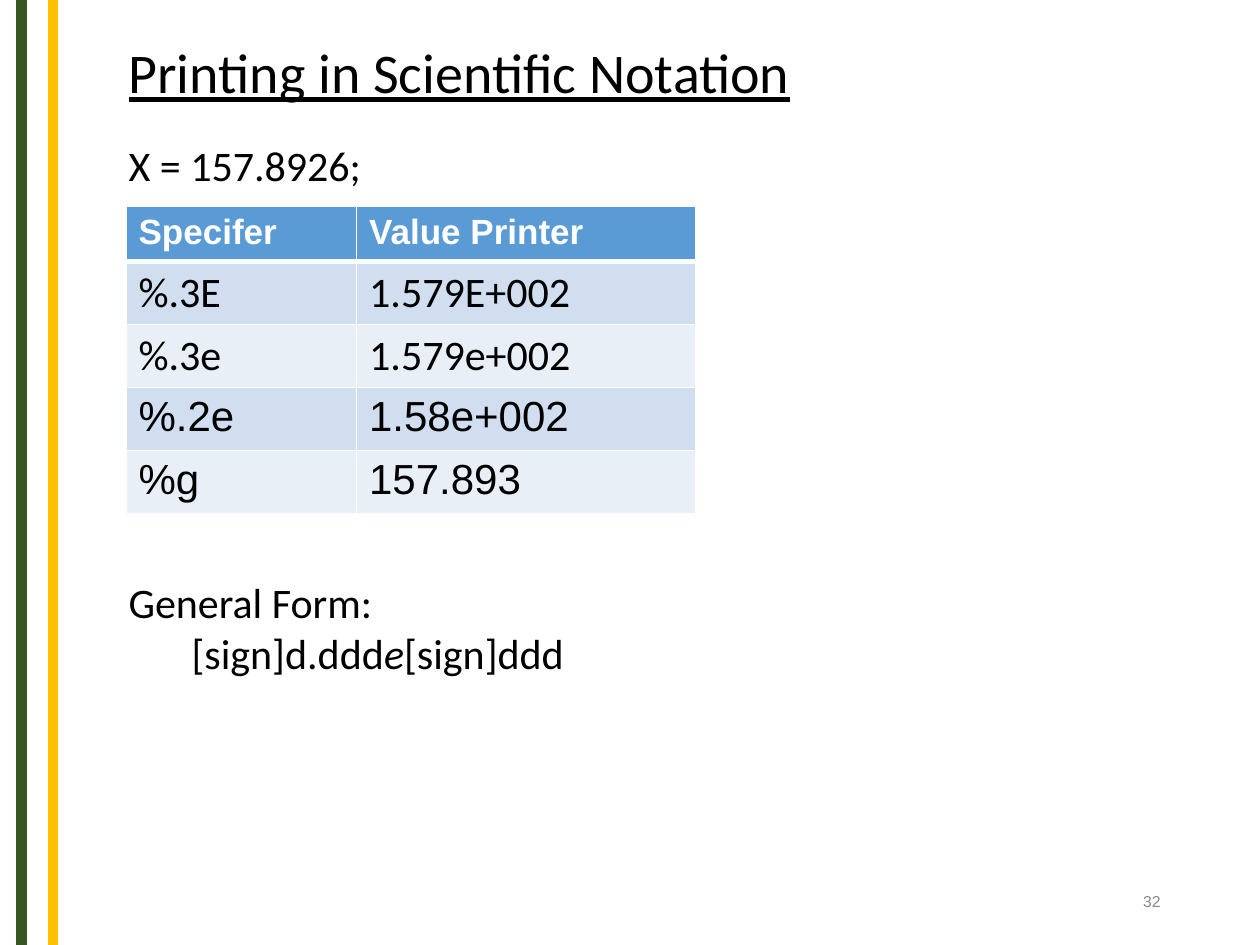
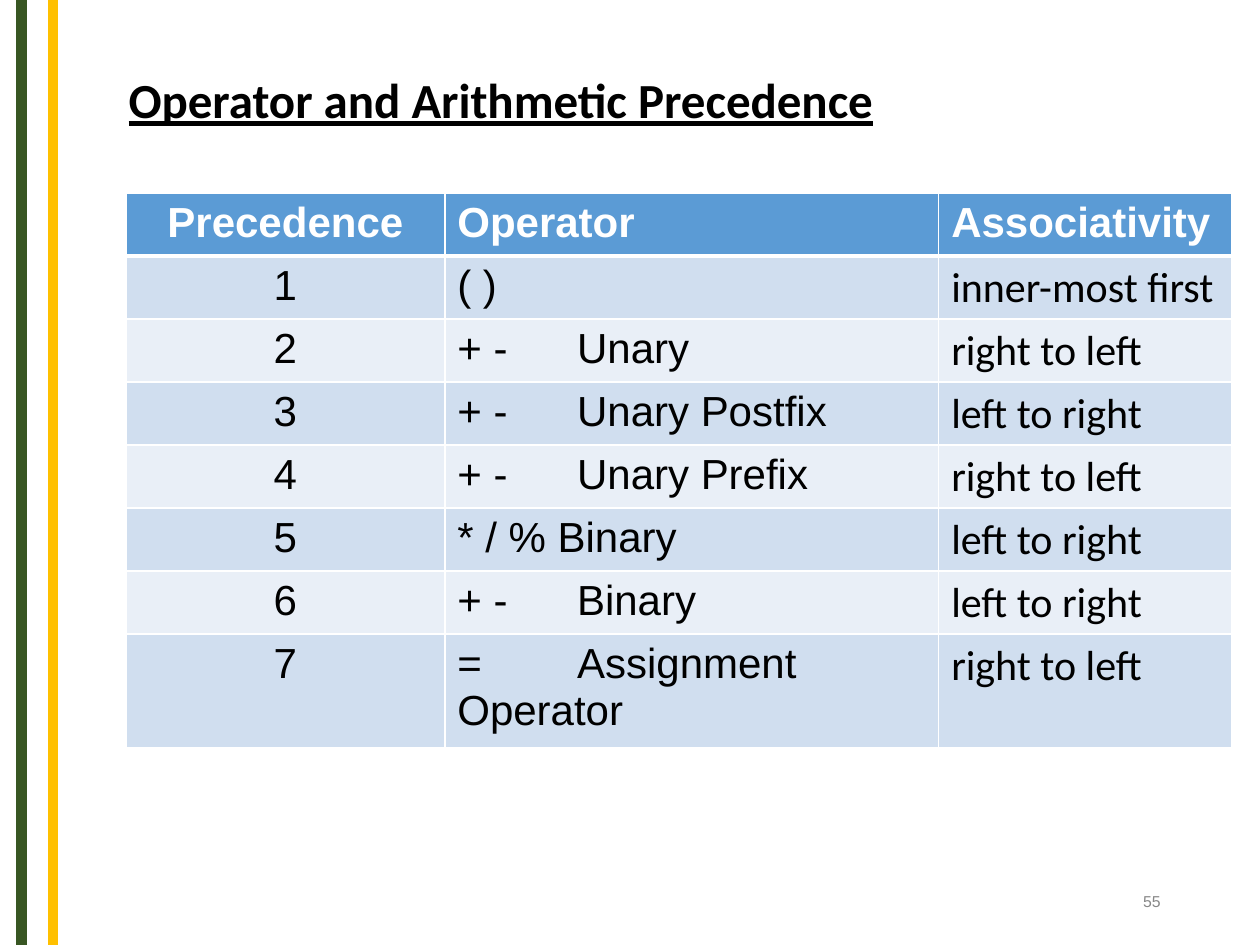
from lxml.etree import SubElement
from pptx import Presentation
from pptx.dml.color import RGBColor
from pptx.enum.shapes import MSO_CONNECTOR as Connector
from pptx.enum.text import MSO_ANCHOR as Anchor, MSO_AUTO_SIZE as AutoSize, PP_ALIGN as Align
from pptx.oxml.ns import qn
from pptx.util import Inches, Pt

BLACK = RGBColor(0x00, 0x00, 0x00)
WHITE = RGBColor(0xFF, 0xFF, 0xFF)
GREY = RGBColor(0x88, 0x88, 0x88)
GREEN = RGBColor(0x38, 0x56, 0x23)
GOLD = RGBColor(0xFF, 0xC0, 0x00)
HEADER_BLUE = RGBColor(0x5B, 0x9B, 0xD5)
ROW_BLUES = (RGBColor(0xE9, 0xEF, 0xF7), RGBColor(0xD0, 0xDE, 0xEF))

TITLE_ONLY, TITLE_AND_BODY = 5, 1
STRIPES = ((0.17, GREEN), (0.42, GOLD))
TEXT_LEFT, TABLE_LEFT, ROW_HEIGHT = 0.92, 1, 0.41

TITLE = {"name": "Calibri", "size": Pt(32), "bold": False, "underline": True}
BODY = {"name": "Calibri", "size": Pt(24)}
CELL = {"name": "Arial", "size": Pt(24), "bold": False}
NUMBER = {"name": "Arial", "size": Pt(9)}


class Lecture:
    def __init__(self):
        self.deck = Presentation()
        self.deck.slide_width, self.deck.slide_height = Inches(10), Inches(7.5)
        self.page = None

    def add_page(self, layout, number):
        self.page = self.deck.slides.add_slide(self.deck.slide_layouts[layout])
        for x, color in STRIPES:
            self.stripe(x, color)
        box = self.page.shapes.add_textbox(*map(Inches, (7.06, 6.95, 2.25, 0.4)))
        box.text_frame.word_wrap = True
        box.text_frame.vertical_anchor = Anchor.MIDDLE
        para = box.text_frame.paragraphs[0]
        para.alignment = Align.RIGHT
        self.span(para, number, NUMBER, GREY)

    def stripe(self, x, color):
        line = self.page.shapes.add_connector(
            Connector.STRAIGHT, Inches(x), 0, Inches(x), self.deck.slide_height)
        line.line.color.rgb = color
        line.line.width = Pt(6)
        SubElement(line._element.spPr, qn("a:effectLst"))

    def span(self, para, text, style, color=BLACK):
        run = para.add_run()
        run.text = text
        for key, value in style.items():
            setattr(run.font, key, value)
        run.font.color.rgb = color

    def tab_stop(self, para, position):
        tabs = SubElement(para._p.get_or_add_pPr(), qn("a:tabLst"))
        SubElement(tabs, qn("a:tab"), pos=str(Inches(position)), algn="l")

    def place(self, holder, top, width, height):
        holder.left, holder.top = Inches(TEXT_LEFT), Inches(top)
        holder.width, holder.height = Inches(width), Inches(height)
        frame = holder.text_frame
        frame.word_wrap = True
        frame.auto_size = AutoSize.NONE
        frame.vertical_anchor = Anchor.TOP
        return frame

    def title(self, text, top, width, height, **changes):
        para = self.place(self.page.shapes.title, top, width, height).paragraphs[0]
        para.alignment = Align.LEFT
        self.span(para, text, {**TITLE, **changes})

    def body(self, lines, top, width, height):
        frame = self.place(self.page.placeholders[1], top, width, height)
        for index, (gap, spans) in enumerate(lines):
            para = frame.add_paragraph() if index else frame.paragraphs[0]
            para.space_before = Pt(gap)
            properties = para._p.get_or_add_pPr()
            properties.set("marL", "0")
            properties.set("indent", "0")
            SubElement(properties, qn("a:buNone"))
            self.tab_stop(para, 1)
            for text, italic in spans:
                self.span(para, text, {**BODY, "italic": italic})

    def cell_border(self, cell, side, points):
        border = SubElement(cell._tc.get_or_add_tcPr(), qn(f"a:ln{side}"), w=str(Pt(points)))
        fill = SubElement(border, qn("a:solidFill"))
        SubElement(fill, qn("a:srgbClr"), val=str(WHITE))

    def table(self, rows, top, widths, header_size, calibri_at, centred=(), tab=None):
        frame = self.page.shapes.add_table(
            len(rows), len(widths), Inches(TABLE_LEFT), Inches(top),
            Inches(sum(widths)), Inches(ROW_HEIGHT * len(rows)))
        grid = frame.table
        for column, width in zip(grid.columns, widths):
            column.width = Inches(width)
        for r, texts in enumerate(rows):
            grid.rows[r].height = Inches(ROW_HEIGHT)
            for c, text in enumerate(texts):
                cell = grid.cell(r, c)
                heavy = {0: "B", 1: "T"}.get(r)
                for side in "LRTB":
                    self.cell_border(cell, side, 3 if side == heavy else 1)
                cell.fill.solid()
                cell.fill.fore_color.rgb = ROW_BLUES[r % 2] if r else HEADER_BLUE
                para = cell.text_frame.paragraphs[0]
                para.alignment = Align.CENTER if c in centred else Align.LEFT
                if "\t" in text:
                    self.tab_stop(para, tab)
                if r == 0:
                    self.span(para, text, {**CELL, "size": Pt(header_size), "bold": True}, WHITE)
                else:
                    font = "Calibri" if calibri_at(r, c) else "Arial"
                    self.span(para, text, {**CELL, "name": font})


def scientific_notation(lecture):
    lecture.add_page(TITLE_AND_BODY, "32")
    lecture.title("Printing in Scientific Notation", 0.25, 5.52, 0.75)
    lecture.body([
        (0, [("X = 157.8926;", False)]),
        (221, [("General Form:", False)]),
        (0, [("\t[sign]d.ddd", False), ("e", True), ("[sign]ddd", False)]),
    ], 1.06, 5.52, 4.41)
    rows = [
        ("Specifer", "Value Printer"),
        ("%.3E", "1.579E+002"),
        ("%.3e", "1.579e+002"),
        ("%.2e", "1.58e+002"),
        ("%g", "157.893"),
    ]
    lecture.table(rows, 1.64, (1.83, 2.69), 20, lambda r, c: r <= 2)


def operator_precedence(lecture):
    lecture.add_page(TITLE_ONLY, "55")
    lecture.title("Operator and Arithmetic Precedence", 0.5, 8.08, 0.9, size=Pt(28), bold=True)
    operators = [
        ("( )", "inner-most first"),
        ("+ -\tUnary", "right to left"),
        ("+ -\tUnary Postfix", "left to right"),
        ("+ -\tUnary Prefix", "right to left"),
        ("* / % Binary", "left to right"),
        ("+ -\tBinary", "left to right"),
        ("=\tAssignment Operator", "right to left"),
    ]
    rows = [("Precedence", "Operator", "Associativity")]
    rows += [(str(rank), *entry) for rank, entry in enumerate(operators, 1)]
    lecture.table(rows, 1.53, (2.53, 3.92, 2.33), 24, lambda r, c: c == 2, centred=(0,), tab=0.95)


def main():
    lecture = Lecture()
    scientific_notation(lecture)
    operator_precedence(lecture)
    lecture.deck.save("out.pptx")


if __name__ == "__main__":
    main()
